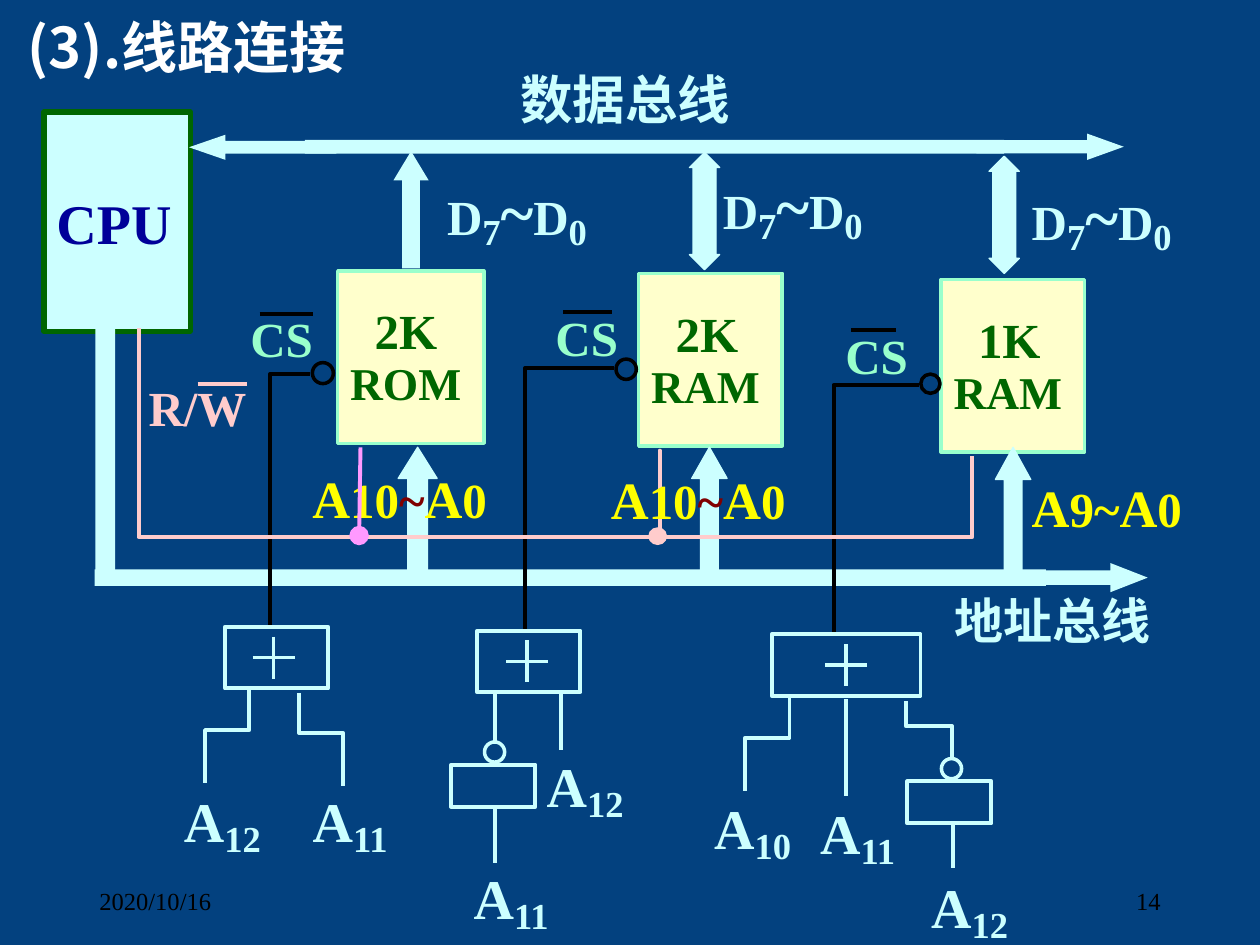
from lxml import etree
from pptx import Presentation
from pptx.dml.color import RGBColor
from pptx.enum import shapes, text
from pptx.oxml.ns import qn
from pptx.util import Pt

SERIF, SANS = "Times New Roman", "Noto Sans CJK SC"
ICE, MINT, CREAM, GREEN = "CCFFFF", "99FFCC", "FFFFCC", "006600"
ROSE, YELLOW, BLACK = "FFCCCC", "FFFF00", "000000"
KIND = shapes.MSO_SHAPE
ANCHOR, ALIGN = text.MSO_ANCHOR, text.PP_ALIGN

# left, top, width, height, size line, kind line
CHIPS = [(365, 156.2, 82, 98.6, "2K", "RAM"),
         (193, 154.8, 83.5, 98.6, "2K", "ROM"),
         (537.8, 159.8, 82, 98.6, "1K", "RAM")]

# kind, left, top, width, height, head length ratio, line width
BUSES = [(KIND.UP_ARROW, 224.8, 86.4, 20.2, 67, 0.83, 0),
         (KIND.RIGHT_ARROW, 558, 76.3, 84.2, 15.1, 1.39, 0),
         (KIND.RECTANGLE, 174.2, 79.9, 399.6, 7.9, None, 0),
         (KIND.LEFT_ARROW, 108, 77, 84.2, 14.4, 1.45, 0),
         (KIND.UP_DOWN_ARROW, 394, 87.1, 17.3, 67, 0.76, 0.75),
         (KIND.UP_DOWN_ARROW, 565.2, 89.3, 17.3, 67, 0.76, 0.75),
         (KIND.RECTANGLE, 54.5, 188, 11.3, 141, None, 0),
         (KIND.UP_ARROW, 227.5, 255.6, 22.3, 72, 0.8, 0.75),
         (KIND.UP_ARROW, 568.8, 255.6, 20.2, 73.4, 0.91, 0.75),
         (KIND.UP_ARROW, 395.3, 255.6, 20.2, 70.6, 0.88, 0.75),
         (KIND.RIGHT_ARROW, 571.7, 321.8, 84.2, 16.6, 1.28, 0),
         (KIND.RECTANGLE, 54, 325.4, 543.6, 9.4, None, 0)]

# text left, text top, overbar (left, right, y), circle (left, top, size), wire
SELECTS = [((136, 172.8), (148.4, 178.6, 179.4), (178.5, 207.2, 12),
            [(154.3, 358.8), (154.3, 213.7), (177.2, 213.7)]),
           ((310.3, 172), (321.8, 350, 178.4), (352, 205.2, 11.6),
            [(300, 360.4), (300, 210.3), (350.6, 210.3)]),
           ((476, 182.2), (486.2, 512, 188.5), (526.2, 213.8, 11),
            [(476.4, 361.4), (476.4, 220), (525, 220)])]

READ_WRITE = [(79.2, 187.2), (79.2, 306.9), (377, 306.9), (377, 257.5),
              (377, 306.9), (555.6, 306.9), (555.6, 260.5)]

GATES = [(158, 375.8, 59, 156.4), (302.2, 378, 59, 301.2),
         (483.5, 380, 85, 483.5)]  # centre x, centre y, width, plus x
INVERTERS = [(257.8, 437, 276.9, 424), (518.4, 446.5, 538, 433.5)]

GATE_WIRES = [
    [(142.4, 394.5), (142.4, 417.2), (117.2, 417.2), (117.2, 447.2)],
    [(171, 396), (171, 419), (196.2, 419), (196.2, 449)],
    [(282.8, 395.5), (282.8, 423.5)], [(282.8, 462.2), (282.8, 493)],
    [(320.6, 396.7), (320.6, 428.4)],
    [(451.2, 398.6), (451.2, 421.6), (425.8, 421.6), (425.8, 452)],
    [(483.6, 399.5), (483.6, 455)], [(544.5, 471.6), (544.5, 496)],
    [(517.7, 400.5), (517.7, 415), (544, 415), (544, 433.5)]]

ADDRESS_INPUTS = [("12", 98, 442), ("11", 171.6, 442), ("11", 263.5, 486),
                  ("12", 305.3, 422), ("10", 401, 445.7), ("11", 461.5, 448.6),
                  ("12", 525, 491)]
DATA_LABELS = [(248.4, 95), (406, 91.4), (582.5, 98)]
DATA_SPANS = [("D", 28, ICE), ("7", 36, ICE, True), ("~", 36, ICE),
              ("D", 28, ICE), ("0", 36, ICE, True)]
WIDE_RANGE = [("A", 30, YELLOW), ("10", 28, YELLOW), ("~", 28, "800000"),
              ("A", 30, YELLOW), ("0", 28, YELLOW)]
NARROW_RANGE = [("A", 30, YELLOW), ("9~", 28, YELLOW),
                ("A", 30, YELLOW), ("0", 28, YELLOW)]
RANGE_LABELS = [(171.4, 262.8, WIDE_RANGE), (342, 263.5, WIDE_RANGE),
                (582.5, 267.8, NARROW_RANGE)]


def colour(value):
    return RGBColor.from_string(value)


def set_line(line, value, width):
    if width:
        line.color.rgb = colour(value)
        line.width = Pt(width)
    else:
        line.fill.background()


def add_spans(para, spans, bold=True, font=SERIF):
    """Add runs given as (words, size, colour[, is subscript])."""
    for words, size, value, *subscript in spans:
        span = para.add_run()
        span.text = words
        for name, setting in dict(name=font, size=Pt(size), bold=bold).items():
            setattr(span.font, name, setting)
        span.font.color.rgb = colour(value)
        props = span._r.get_or_add_rPr()
        etree.SubElement(props, qn("a:ea")).set("typeface", SANS)
        if subscript:
            props.set("baseline", "-16000")


def format_frame(frame, wrap=True, anchor=ANCHOR.TOP):
    settings = dict(word_wrap=wrap, vertical_anchor=anchor,
                    auto_size=text.MSO_AUTO_SIZE.NONE)
    for name, setting in settings.items():
        setattr(frame, name, setting)


def add_text(page, place, spans, wrap=True, anchor=ANCHOR.TOP,
             align=ALIGN.LEFT, bold=True):
    box = page.shapes.add_textbox(*map(Pt, place))
    format_frame(box.text_frame, wrap, anchor)
    para = box.text_frame.paragraphs[0]
    para.alignment = align
    add_spans(para, spans, bold)


def add_shape(page, kind, place, fill=None, line=ICE, width=0.0):
    shape = page.shapes.add_shape(kind, *map(Pt, place))
    shape.shadow.inherit = False
    if fill:
        shape.fill.solid()
        shape.fill.fore_color.rgb = colour(fill)
    else:
        shape.fill.background()
    set_line(shape.line, line, width)
    return shape


def add_wire(page, points, value, width=2.25):
    """Join two points with a connector, or more with an open outline."""
    points = [(Pt(x), Pt(y)) for x, y in points]
    if len(points) == 2:
        wire = page.shapes.add_connector(
            shapes.MSO_CONNECTOR.STRAIGHT, *points[0], *points[1])
        etree.SubElement(wire._element.spPr, qn("a:effectLst"))
    else:
        builder = page.shapes.build_freeform(*points[0], scale=1.0)
        builder.add_line_segments(points[1:], close=False)
        wire = builder.convert_to_shape()
        wire.shadow.inherit = False
        wire.fill.background()
    set_line(wire.line, value, width)
    return wire


def add_chip(page, left, top, width, height, size, kind):
    chip = add_shape(page, KIND.RECTANGLE, (left, top, width, height), CREAM, MINT, 2)
    frame = chip.text_frame
    format_frame(frame)
    rows = [(size, 28, 1.4, 14), (kind, 26, 0.95, 0)]
    for row, (words, points, spacing, indent) in enumerate(rows):
        para = frame.add_paragraph() if row else frame.paragraphs[0]
        para.alignment, para.line_spacing = ALIGN.LEFT, spacing
        para._p.get_or_add_pPr().set("marL", str(Pt(indent)))
        add_spans(para, [(words, points, GREEN)])


def add_gate(page, x, y, width, plus_x):
    add_shape(page, KIND.RECTANGLE, (x - width / 2, y - 17.6, width, 35.2), width=2.25)
    add_wire(page, [(plus_x, y - 12), (plus_x, y + 12)], ICE, 2)
    add_wire(page, [(plus_x - 12, y), (plus_x + 12, y)], ICE, 2)


def main():
    deck = Presentation()
    deck.slide_width, deck.slide_height = Pt(720), Pt(540)
    page = deck.slides.add_slide(deck.slide_layouts[5])
    page.background.fill.solid()
    page.background.fill.fore_color.rgb = colour("03417F")

    title = page.shapes.title
    title.left, title.top, title.width, title.height = map(Pt, (8.6, 3.6, 426, 45))
    format_frame(title.text_frame)
    heading = title.text_frame.paragraphs[0]
    heading.alignment = ALIGN.LEFT
    add_spans(heading, [("(3).线路连接", 32, "FFFFFF")], font=SANS)

    for words, left, align in [("2020/10/16", 49.7, ALIGN.LEFT), ("14", 508.3, ALIGN.RIGHT)]:
        add_text(page, (left, 500.4, 162, 28.8), [(words, 14, BLACK)],
                 anchor=ANCHOR.MIDDLE, align=align, bold=False)

    cpu = add_shape(page, KIND.RECTANGLE, (25.2, 64, 83.5, 125.3), ICE, GREEN, 3)
    format_frame(cpu.text_frame, anchor=ANCHOR.MIDDLE)
    cpu.text_frame.paragraphs[0].alignment = ALIGN.LEFT
    add_spans(cpu.text_frame.paragraphs[0], [("CPU", 32, "000099")])

    for chip in CHIPS:
        add_chip(page, *chip)
    for kind, *place, head, width in BUSES:
        bus = add_shape(page, kind, place, ICE, ICE, width)
        if head:
            bus.adjustments[0], bus.adjustments[1] = 0.5, head
    add_text(page, (538.6, 334, 130.3, 41), [("地址总线", 28, ICE)])
    add_text(page, (290.2, 34.6, 136.8, 43.2), [("数据总线", 30, ICE)])
    for left, top in DATA_LABELS:
        add_text(page, (left, top, 116, 50.4), DATA_SPANS)

    for (left, top), (start, end, bar), (x, y, size), wire in SELECTS:
        add_shape(page, KIND.OVAL, (x, y, size, size), line=BLACK, width=2)
        add_wire(page, wire, BLACK)
        add_text(page, (left, top, 68, 41), [("CS", 28, MINT)])
        add_wire(page, [(start, bar), (end, bar)], BLACK)

    add_wire(page, READ_WRITE, ROSE)
    add_shape(page, KIND.OVAL, (370.8, 301.7, 10, 9.4), ROSE, ROSE, 0.75)
    add_text(page, (77.8, 212.4, 70.6, 41), [("R/W", 28, ROSE)], wrap=False)
    add_wire(page, [(113, 219.4), (141.1, 219.4)], ROSE)
    for left, top, spans in RANGE_LABELS:
        add_text(page, (left, top, 139, 43.2), spans)

    for gate in GATES:
        add_gate(page, *gate)
    for wire in GATE_WIRES:
        add_wire(page, wire, ICE)
    for left, top, x, y in INVERTERS:
        add_shape(page, KIND.OVAL, (x, y, 11.5, 11.5), width=2)
        add_shape(page, KIND.RECTANGLE, (left, top, 48.2, 24), width=2.25)
    for number, left, top in ADDRESS_INPUTS:
        add_text(page, (left, top, 62, 45.4),
                 [("A", 32, ICE), (number, 36, ICE, True)], wrap=False)

    tap = add_wire(page, [(206, 255.6), (205.2, 306)], "FF99FF")
    end = etree.SubElement(tap.line._get_or_add_ln(), qn("a:tailEnd"))
    for name, setting in dict(type="oval", w="lg", len="lg").items():
        end.set(name, setting)

    deck.save("out.pptx")


if __name__ == "__main__":
    main()
